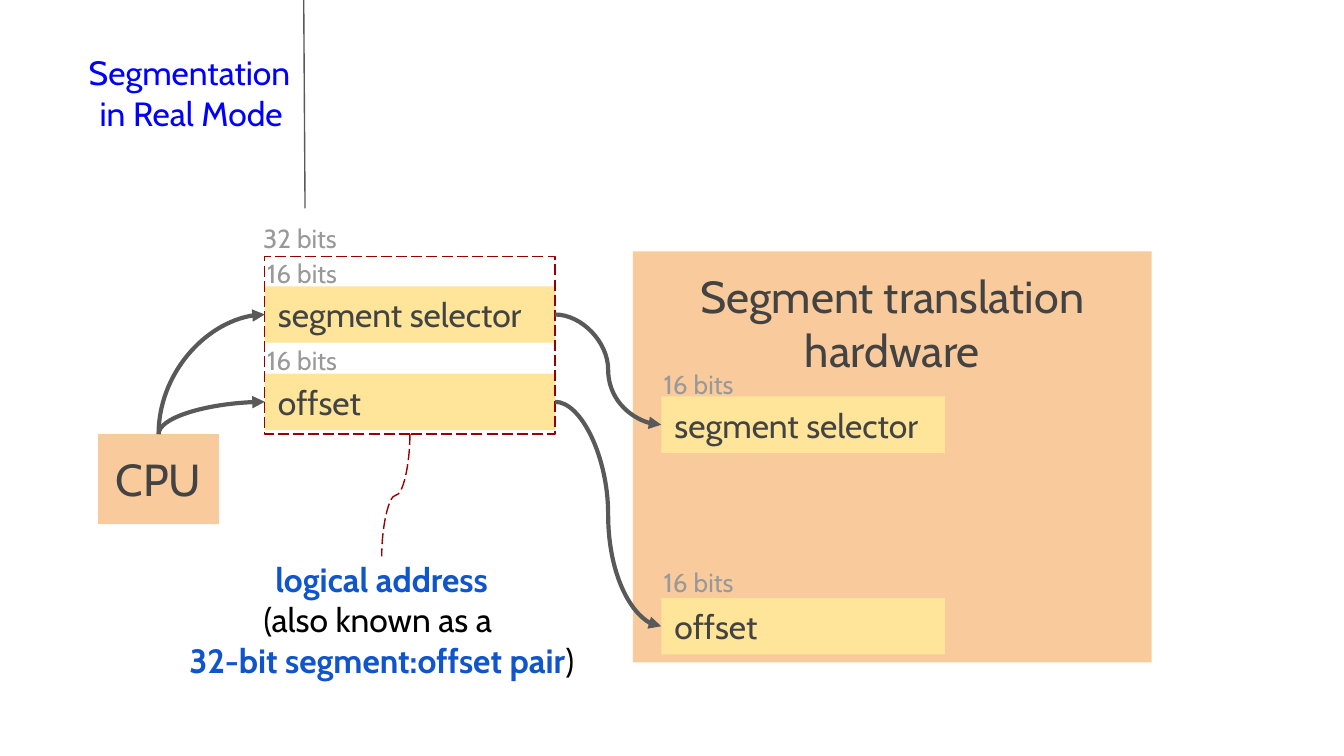
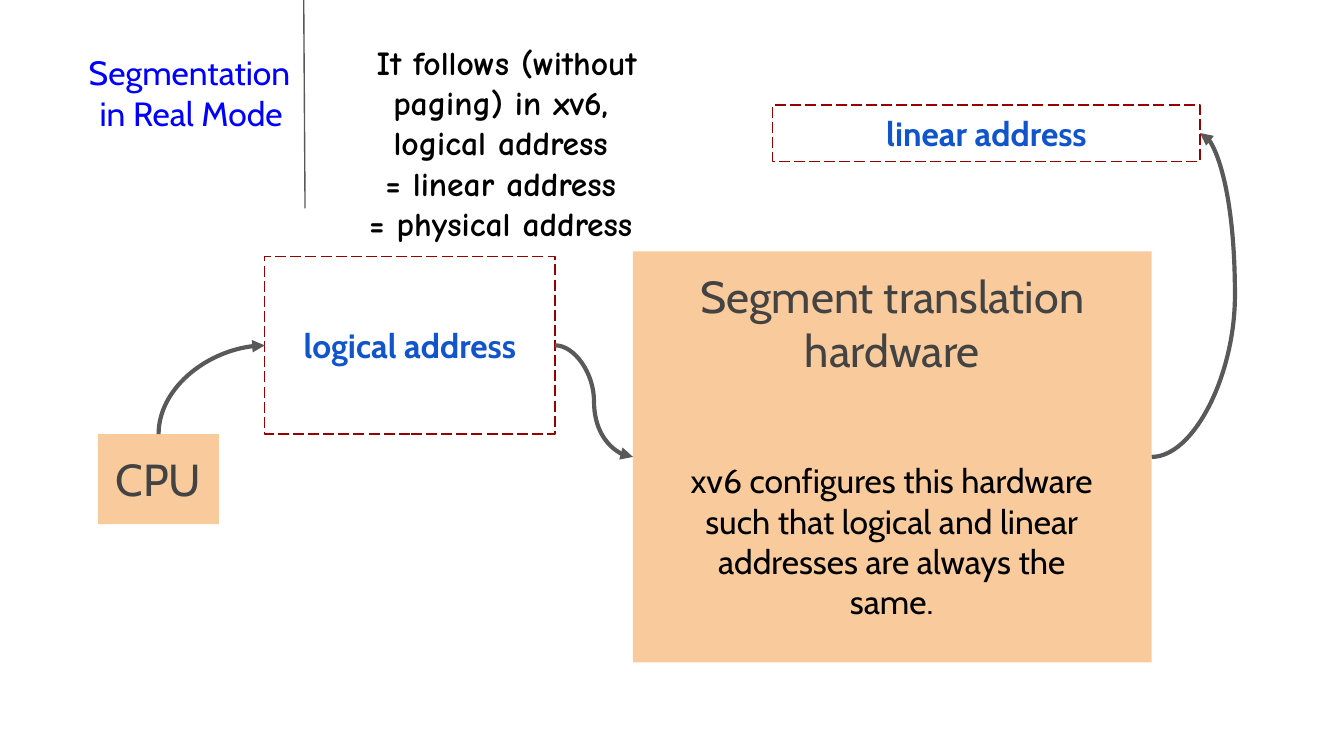
from dataclasses import dataclass
from typing import Optional

from lxml.etree import SubElement
from pptx import Presentation
from pptx.dml.color import RGBColor
from pptx.enum.dml import MSO_LINE
from pptx.enum.shapes import MSO_CONNECTOR, MSO_SHAPE
from pptx.enum.text import MSO_ANCHOR, MSO_AUTO_SIZE, PP_ALIGN
from pptx.oxml.ns import qn
from pptx.util import Inches, Pt


@dataclass(frozen=True)
class Theme:
    font: str = "Cabin"
    hand: str = "Comic Neue"
    title: str = "0000FF"
    ink: str = "434343"
    black: str = "000000"
    muted: str = "999999"
    accent: str = "1155CC"
    block: str = "F9CB9C"
    field: str = "FFE599"
    frame: str = "980000"
    arrow: str = "595959"
    big: int = 24
    body: int = 18
    small: int = 14
    thick: float = 2.25
    thin: float = 0.75


@dataclass(frozen=True)
class Box:
    left: float
    top: float
    width: float
    height: float

    @property
    def place(self):
        return [Inches(v) for v in (self.left, self.top, self.width, self.height)]


@dataclass(frozen=True)
class Field:
    text: str
    box: Box
    gap: float = 0.22


THEME = Theme()
TOP, LEFT, BOTTOM, RIGHT = range(4)

TITLE = Box(0, 0, 2.26, 1.38)
CPU = Box(0.73, 3.23, 0.9, 0.67)
UNIT = Box(4.71, 1.87, 3.86, 3.06)
FRAME = Box(1.97, 1.91, 2.16, 1.32)
LINEAR = Box(5.75, 0.78, 3.18, 0.42)
FIELDS = [
    Field("segment selector", Box(1.97, 2.13, 2.16, 0.42)),
    Field("offset", Box(1.97, 2.78, 2.16, 0.42)),
    Field("segment selector", Box(4.92, 2.95, 2.11, 0.42), gap=0.21),
    Field("offset", Box(4.92, 4.45, 2.11, 0.42), gap=0.24),
]


def tint(code: str) -> RGBColor:
    return RGBColor.from_string(code)


def write(shape, text: str, *, size=THEME.body, color=THEME.ink, font=THEME.font,
          bold=False, align=PP_ALIGN.LEFT, anchor=MSO_ANCHOR.MIDDLE, head=0.1):
    """Fill a shape with text; each line is a paragraph, *stars* mark accents."""
    frame = shape.text_frame
    frame.word_wrap = True
    frame.auto_size = MSO_AUTO_SIZE.NONE
    frame.vertical_anchor = anchor
    frame.margin_left = frame.margin_right = frame.margin_bottom = Inches(0.1)
    frame.margin_top = Inches(head)
    for row, line in enumerate(text.split("\n")):
        para = frame.add_paragraph() if row else frame.paragraphs[0]
        para.alignment = align
        for turn, part in enumerate(line.split("*")):
            if not part:
                continue
            strong = turn % 2 == 1
            run = para.add_run()
            run.text = part
            run.font.name = font
            run.font.size = Pt(size)
            run.font.bold = bold or strong
            run.font.color.rgb = tint(THEME.accent if strong else color)


def label(slide, box: Box, text: str, **style):
    shape = slide.shapes.add_textbox(*box.place)
    write(shape, text, **style)
    return shape


def block(slide, box: Box, fill: str):
    shape = slide.shapes.add_shape(MSO_SHAPE.RECTANGLE, *box.place)
    shape.shadow.inherit = False
    shape.fill.solid()
    shape.fill.fore_color.rgb = tint(fill)
    shape.line.fill.background()
    return shape


def dashed(slide, box: Box):
    shape = slide.shapes.add_shape(MSO_SHAPE.RECTANGLE, *box.place)
    shape.shadow.inherit = False
    shape.fill.background()
    stroke(shape, THEME.frame, THEME.thin, dash=True)
    return shape


def stroke(shape, color: str, width: float, dash: bool = False) -> None:
    shape.line.color.rgb = tint(color)
    shape.line.width = Pt(width)
    if dash:
        shape.line.dash_style = MSO_LINE.LONG_DASH


def wire(slide, kind, start, end):
    line = slide.shapes.add_connector(kind, *start, *end)
    SubElement(line.element.spPr, qn("a:effectLst"))
    return line


def site(shape, side: int):
    """Give the middle of one side of a shape."""
    across = {LEFT: 0, RIGHT: shape.width}.get(side, shape.width // 2)
    down = {TOP: 0, BOTTOM: shape.height}.get(side, shape.height // 2)
    return shape.left + across, shape.top + down


def rotate(line, angle: int) -> None:
    """Turn a connector by a quarter, keeping its ends where they are."""
    left, top, width, height = line.left, line.top, line.width, line.height
    line.left = left + (width - height) // 2
    line.top = top + (height - width) // 2
    line.width, line.height = height, width
    form = line.element.spPr.find(qn("a:xfrm"))
    for flip in ("flipH", "flipV"):
        form.attrib.pop(flip, None)
    form.set("rot", str(angle * 60000))


def link(slide, first, out: int, last, into: int, *, angle: int = 0,
         bend: Optional[float] = None, plain: bool = False) -> None:
    """Join two shapes with a curve: an arrow, or a plain dashed line."""
    line = wire(slide, MSO_CONNECTOR.CURVE, site(first, out), site(last, into))
    line.begin_connect(first, out)
    line.end_connect(last, into)
    if angle:
        rotate(line, angle)
    geom = line.element.spPr.find(qn("a:prstGeom"))
    if out == TOP:
        geom.set("prst", "curvedConnector2")
    if bend is not None:
        guide = SubElement(geom.find(qn("a:avLst")), qn("a:gd"))
        guide.set("name", "adj1")
        guide.set("fmla", f"val {round(bend * 100000)}")
    if plain:
        stroke(line, THEME.frame, THEME.thin, dash=True)
    else:
        stroke(line, THEME.arrow, THEME.thick)
        edge = line.element.spPr.find(qn("a:ln"))
        SubElement(edge, qn("a:tailEnd")).set("type", "triangle")


def base(deck):
    """Add a slide with the title, its rule, the CPU and the hardware."""
    slide = deck.slides.add_slide(deck.slide_layouts[5])
    title = slide.shapes.title
    title.left, title.top, title.width, title.height = TITLE.place
    write(title, "Segmentation\nin Real Mode ", color=THEME.title, align=PP_ALIGN.RIGHT)
    rule = wire(slide, MSO_CONNECTOR.STRAIGHT, (Inches(2.27), Inches(1.55)),
                (Inches(2.26), Inches(0)))
    stroke(rule, THEME.arrow, THEME.thin)
    cpu = block(slide, CPU, THEME.block)
    write(cpu, "CPU", size=THEME.big, align=PP_ALIGN.CENTER)
    unit = block(slide, UNIT, THEME.block)
    write(unit, "Segment translation hardware", size=THEME.big,
          align=PP_ALIGN.CENTER, anchor=MSO_ANCHOR.TOP, head=0.13)
    return slide, cpu, unit


def pair(deck) -> None:
    slide, cpu, _ = base(deck)
    grey = dict(size=THEME.small, color=THEME.muted)
    cells = []
    for field in FIELDS:
        cell = block(slide, field.box, THEME.field)
        write(cell, field.text)
        cells.append(cell)
        tag = Box(field.box.left - 0.08, field.box.top - field.gap, 0.9, 0.24)
        label(slide, tag, "16 bits", **grey)
    frame = dashed(slide, FRAME)
    label(slide, Box(1.86, 1.65, 2.85, 0.24), "32 bits", **grey)
    note = label(slide, Box(1.25, 4.14, 3.18, 0.94),
                 "*logical address*\n(also known as a \n*32-bit segment:offset pair*)",
                 color=THEME.black, align=PP_ALIGN.CENTER)
    for source, target in zip(cells[:2], cells[2:]):
        link(slide, cpu, TOP, source, LEFT, angle=270)
        link(slide, source, RIGHT, target, LEFT)
    link(slide, frame, BOTTOM, note, TOP, angle=90, plain=True)


def same(deck) -> None:
    slide, cpu, unit = base(deck)
    mid = PP_ALIGN.CENTER
    frame = dashed(slide, FRAME)
    label(slide, Box(2.09, 2.38, 1.92, 0.37), "*logical address*", align=mid)
    linear = dashed(slide, LINEAR)
    write(linear, "*linear address*", align=mid)
    label(slide, Box(5, 3.53, 3.27, 0.99),
          "xv6 configures this hardware such that logical and linear "
          "addresses are always the same.", color=THEME.black, align=mid)
    label(slide, Box(2.42, 0.46, 2.7, 1.2),
          "It follows (without paging) in xv6, \nlogical address \n"
          "= linear address \n= physical address ",
          font=THEME.hand, color=THEME.black, bold=True, align=mid)
    link(slide, cpu, TOP, frame, LEFT, angle=270)
    link(slide, frame, RIGHT, unit, LEFT)
    link(slide, unit, RIGHT, linear, RIGHT, bend=1.72)


def main() -> None:
    deck = Presentation()
    deck.slide_width = Inches(10)
    deck.slide_height = deck.slide_width * 9 // 16
    pair(deck)
    same(deck)
    deck.save("out.pptx")


if __name__ == "__main__":
    main()
